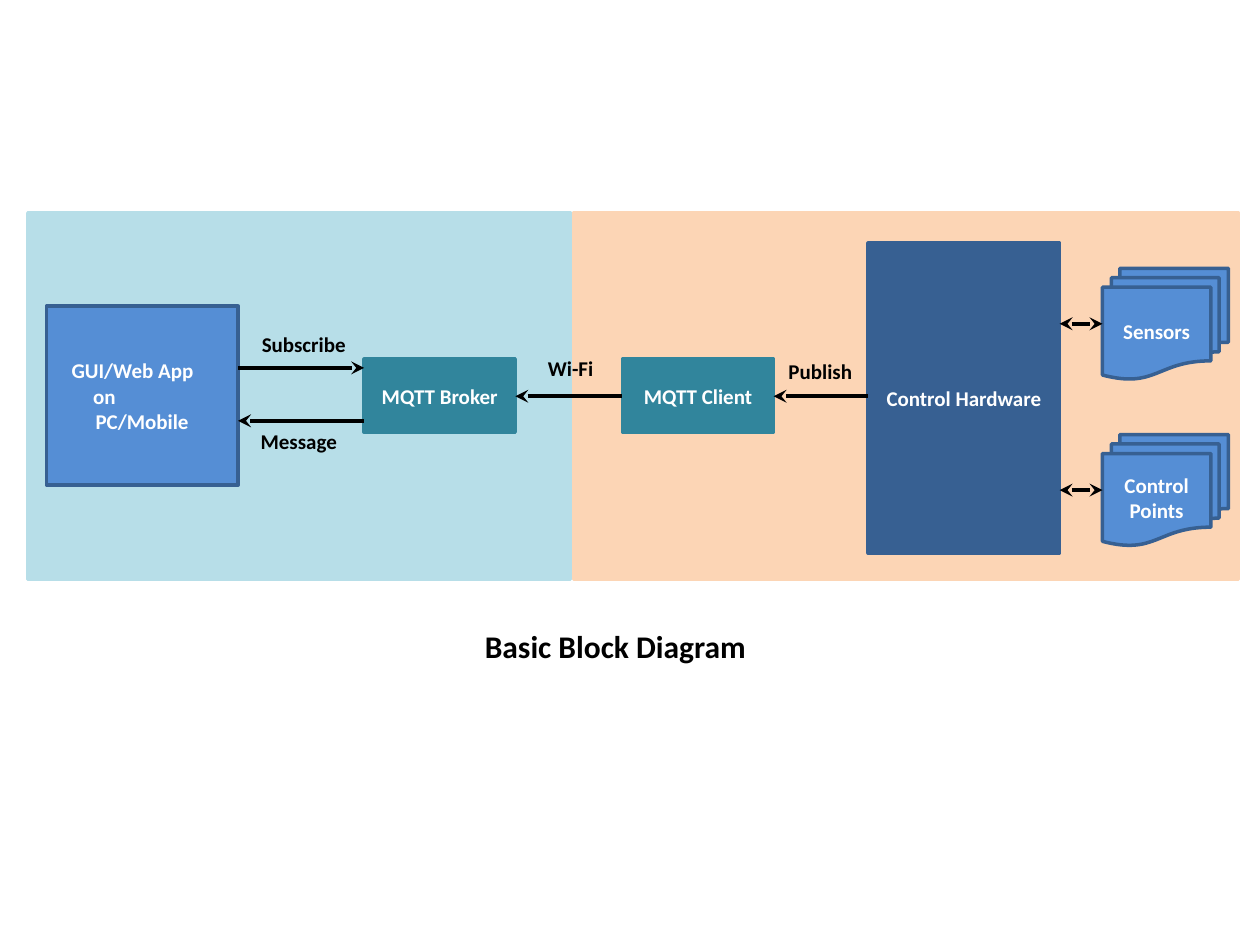
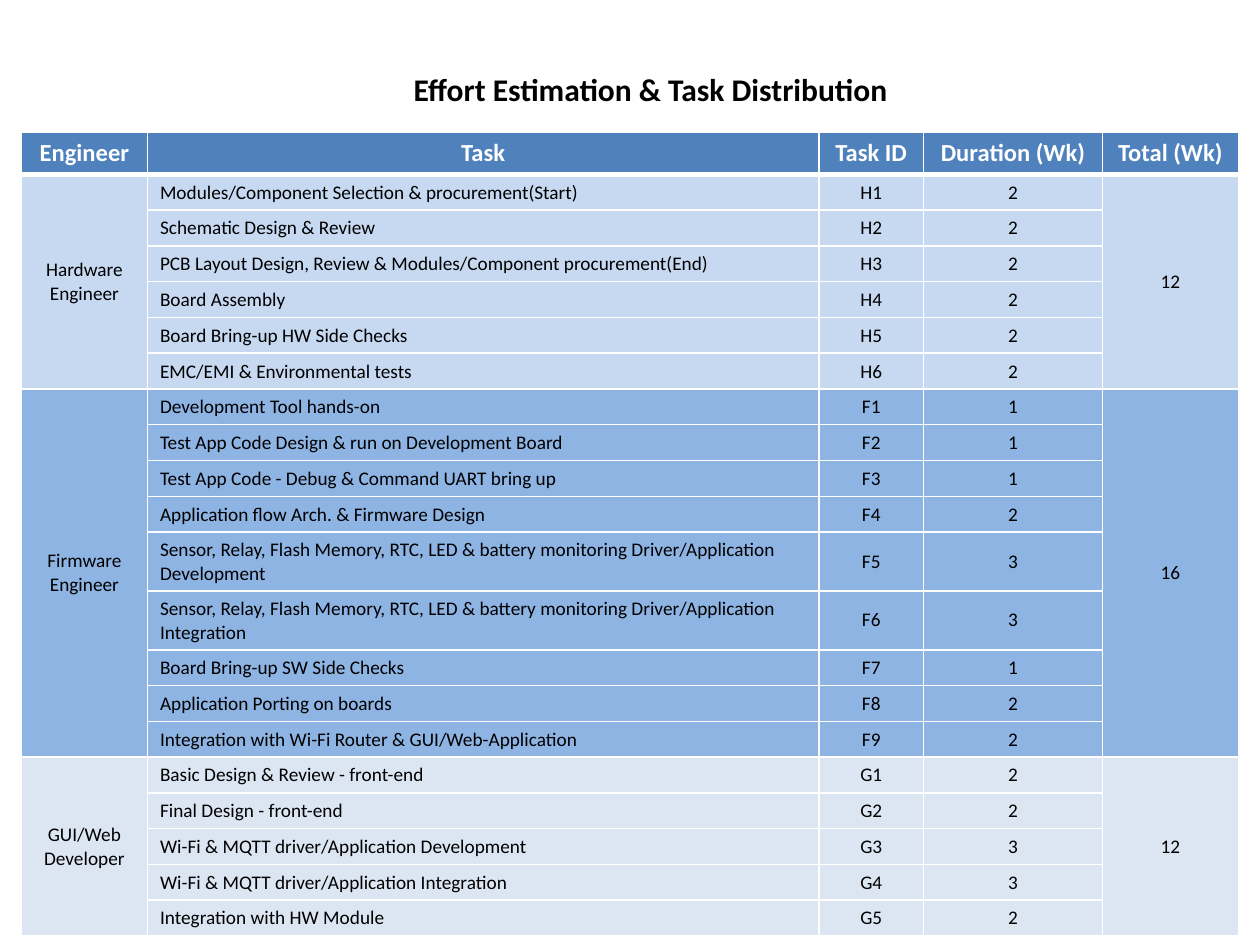
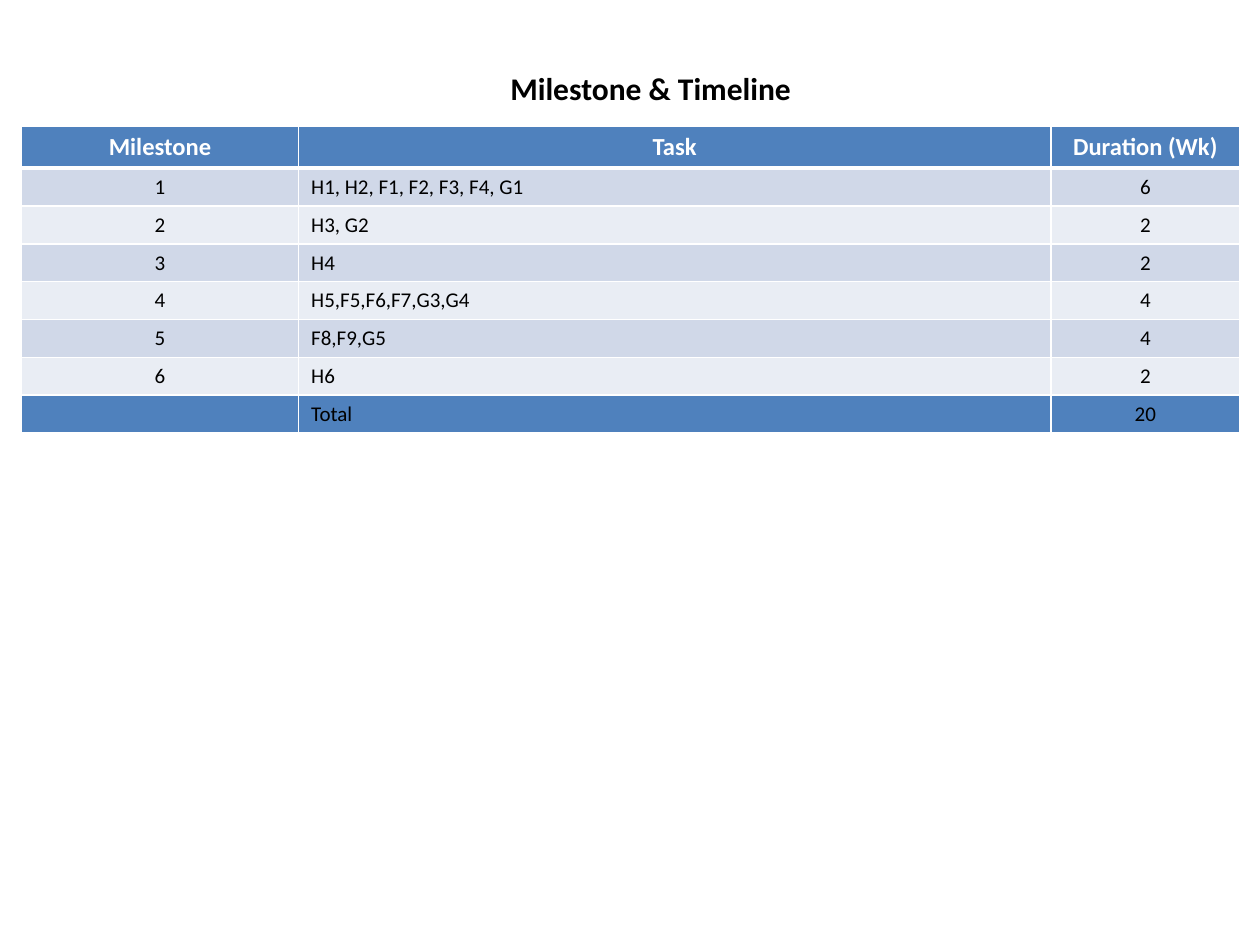
from dataclasses import dataclass

from lxml import etree
from pptx import Presentation
from pptx.dml.color import RGBColor
from pptx.enum.shapes import MSO_CONNECTOR, MSO_SHAPE
from pptx.enum.text import MSO_ANCHOR, PP_ALIGN
from pptx.oxml.ns import qn
from pptx.util import Inches, Pt

RECT, DOCUMENTS = MSO_SHAPE.RECTANGLE, MSO_SHAPE.FLOWCHART_MULTIDOCUMENT
STRAIGHT = MSO_CONNECTOR.STRAIGHT
LEFT, CENTER = PP_ALIGN.LEFT, PP_ALIGN.CENTER
TOP, MIDDLE = MSO_ANCHOR.TOP, MSO_ANCHOR.MIDDLE

FONT = "Calibri"
WHITE, BLACK = RGBColor(255, 255, 255), RGBColor(0, 0, 0)
SKY, PEACH = RGBColor(0xB7, 0xDE, 0xE8), RGBColor(0xFC, 0xD5, 0xB5)
BLUE, NAVY = RGBColor(0x55, 0x8E, 0xD5), RGBColor(0x37, 0x60, 0x92)
TEAL, HEADER = RGBColor(0x31, 0x85, 0x9C), RGBColor(0x4F, 0x81, 0xBD)
HARDWARE_TINT = RGBColor(0xC6, 0xD9, 0xF1)
FIRMWARE_TINT = RGBColor(0x8E, 0xB4, 0xE3)
WEB_TINT = RGBColor(0xDC, 0xE6, 0xF2)
BANDS = (RGBColor(0xD0, 0xD8, 0xE8), RGBColor(0xE9, 0xED, 0xF4))

prs = Presentation()
prs.slide_width, prs.slide_height = Inches(10), Inches(7.5)
COLUMN = prs.slide_width // 100
ROW = prs.slide_height // 75

TEAMS = [
    ("Hardware Engineer", "H", HARDWARE_TINT, [
        ("Modules/Component Selection & procurement(Start)", 2),
        ("Schematic Design & Review", 2),
        ("PCB Layout Design, Review & Modules/Component procurement(End)", 2),
        ("Board Assembly", 2),
        ("Board Bring-up HW Side Checks", 2),
        ("EMC/EMI & Environmental tests", 2)]),
    ("Firmware Engineer", "F", FIRMWARE_TINT, [
        ("Development Tool hands-on", 1),
        ("Test App Code Design & run on Development Board", 1),
        ("Test App Code - Debug & Command UART bring up", 1),
        ("Application flow Arch. & Firmware Design", 2),
        ("Sensor, Relay, Flash Memory, RTC, LED & battery monitoring "
         "Driver/Application Development", 3),
        ("Sensor, Relay, Flash Memory, RTC, LED & battery monitoring "
         "Driver/Application Integration", 3),
        ("Board Bring-up SW Side Checks", 1),
        ("Application Porting on boards", 2),
        ("Integration with Wi-Fi Router & GUI/Web-Application", 2)]),
    ("GUI/Web Developer", "G", WEB_TINT, [
        ("Basic Design & Review - front-end", 2),
        ("Final Design - front-end", 2),
        ("Wi-Fi & MQTT driver/Application Development", 3),
        ("Wi-Fi & MQTT driver/Application Integration", 3),
        ("Integration with HW Module", 2)]),
]
MILESTONES = [
    ("H1, H2, F1, F2, F3, F4, G1", 6), ("H3, G2", 2), ("H4", 2),
    ("H5,F5,F6,F7,G3,G4", 4), ("F8,F9,G5", 4), ("H6", 2),
]


@dataclass
class Box:
    """An area measured in grid columns and rows."""
    x: float
    y: float
    w: float
    h: float

    def inner(self, x, y, w, h):
        """Return a box placed relative to this one."""
        return Box(self.x + x, self.y + y, w, h)

    def emu(self):
        """Return left, top, width and height as slide lengths."""
        return (int(self.x * COLUMN), int(self.y * ROW),
                int(self.w * COLUMN), int(self.h * ROW))


def write(frame, text, size, color, bold=True, align=CENTER):
    """Set the text of a frame and format all of it alike."""
    frame.text = text
    for paragraph in frame.paragraphs:
        paragraph.alignment = align
        for run in paragraph.runs:
            run.font.name, run.font.size = FONT, Pt(size)
            run.font.bold, run.font.color.rgb = bold, color
        if not paragraph.runs:
            etree.SubElement(paragraph._p, qn("a:endParaRPr"), sz=str(size * 100))


def label(slide, box, text, size=12, align=LEFT, wrap=True):
    """Place bold black text without a frame."""
    frame = slide.shapes.add_textbox(*box.emu()).text_frame
    frame.word_wrap = wrap
    write(frame, text, size, BLACK, align=align)


def block(slide, box, fill, line, text="", kind=RECT, align=CENTER):
    """Draw one filled part of the diagram and return it."""
    part = slide.shapes.add_shape(kind, *box.emu())
    part.shadow.inherit = False
    part.fill.solid()
    part.fill.fore_color.rgb = fill
    part.line.color.rgb, part.line.width = line, Pt(2)
    part.text_frame.word_wrap = True
    part.text_frame.vertical_anchor = MIDDLE
    write(part.text_frame, text, 12, WHITE, align=align)
    return part


def arrow(slide, area, tip, origin, y, both=False):
    """Draw a level arrow whose head is at tip, or with heads at both ends."""
    x1, y1, _, _ = area.inner(tip, y, 0, 0).emu()
    x2, y2, _, _ = area.inner(origin, y, 0, 0).emu()
    link = slide.shapes.add_connector(STRAIGHT, x1, y1, x2, y2)
    link.line.color.rgb, link.line.width = BLACK, Pt(2.5)
    outline = link.line._get_or_add_ln()
    for end in ("a:headEnd", "a:tailEnd") if both else ("a:headEnd",):
        etree.SubElement(outline, qn(end), type="stealth")
    etree.SubElement(link._element.spPr, qn("a:effectLst"))


def block_diagram(slide, area):
    """Draw the app and device sides with everything that links them."""
    app_x, broker_x, client_x, control_x, field_x = 1.5, 26.7, 47.2, 66.7, 85.3
    wide, narrow = 15.2, 12
    block(slide, area.inner(43.3, 0, 52.8, area.h), PEACH, PEACH)
    block(slide, area.inner(0, 0, 43.1, area.h), SKY, SKY)

    app = block(slide, area.inner(app_x, 7.4, wide, 14.2), BLUE, NAVY,
                "GUI/Web App\non\nPC/Mobile", align=LEFT)
    for paragraph, indent in zip(app.text_frame.paragraphs, (0.1, 0.27, 0.29)):
        paragraph._p.get_or_add_pPr().set("marL", str(Inches(indent)))
    for x, name in ((broker_x, "MQTT Broker"), (client_x, "MQTT Client")):
        block(slide, area.inner(x, 11.6, narrow, 5.8), TEAL, TEAL, name)
    block(slide, area.inner(control_x, 2.4, wide, 24.6), NAVY, NAVY,
          "Control Hardware")
    for y, name in ((4.4, "Sensors"), (17.6, "Control Points")):
        stack = area.inner(field_x, y, 10, 8.8)
        block(slide, stack, BLUE, NAVY, name, DOCUMENTS)
        arrow(slide, area, control_x + wide, field_x, y + stack.h / 2, both=True)

    middle = area.h / 2
    arrow(slide, area, client_x + narrow, control_x, middle)
    arrow(slide, area, broker_x + narrow, client_x, middle)
    arrow(slide, area, broker_x, app_x + wide, 12.3)
    arrow(slide, area, app_x + wide, broker_x, 16.5)
    for x, y, width, text in ((40.3, 10.8, 6.1, "Wi-Fi"),
                              (17.6, 8.9, 10, "Subscribe"),
                              (17.5, 16.6, 10, "Message"),
                              (59.4, 11.1, 7.3, "Publish")):
        label(slide, area.inner(x, y, width, 3), text)


def fill_cell(cell, text, fill, size, color=BLACK, bold=False, align=CENTER,
              top=1, bottom=1):
    """Write one table cell with white rules around it."""
    cell.vertical_anchor = MIDDLE
    properties = cell._tc.get_or_add_tcPr()
    for side, width in (("L", 1), ("R", 1), ("T", top), ("B", bottom)):
        rule = etree.SubElement(properties, qn("a:ln" + side), w=str(Pt(width)))
        paint = etree.SubElement(rule, qn("a:solidFill"))
        etree.SubElement(paint, qn("a:srgbClr"), val=str(WHITE))
    cell.fill.solid()
    cell.fill.fore_color.rgb = fill
    write(cell.text_frame, text, size, color, bold, align)


def grid_table(slide, box, widths, headings, rows, size, row_height):
    """Build a table from (fill, texts) rows; only the task column is left aligned."""
    table = slide.shapes.add_table(len(rows) + 1, len(widths), *box.emu()).table
    for column, width in zip(table.columns, widths):
        column.width = int(width * COLUMN)
    for row in table.rows:
        row.height = int(row_height * ROW)
    table.rows[0].height = int(3.1 * ROW)
    for c, heading in enumerate(headings):
        fill_cell(table.cell(0, c), heading, HEADER, 14, WHITE, True, bottom=3)
    for r, (fill, texts) in enumerate(rows, 1):
        for c, text in enumerate(texts):
            fill_cell(table.cell(r, c), text, fill, size, top=3 if r == 1 else 1,
                      align=LEFT if headings[c] == "Task" else CENTER)
    return table


def effort_table(slide, box):
    """List the tasks of each team, with its name and total merged."""
    rows = []
    for team, prefix, tint, tasks in TEAMS:
        total = sum(weeks for _, weeks in tasks)
        for i, (task, weeks) in enumerate(tasks, 1):
            first = i == 1
            rows.append((tint, (team if first else "", task, f"{prefix}{i}",
                                str(weeks), str(total) if first else "")))
    headings = ("Engineer", "Task", "Task ID", "Duration (Wk)", "Total (Wk)")
    table = grid_table(slide, box, (10, 53.3, 8.3, 14.2, 10.8), headings, rows,
                       11, 2.8)
    start = 1
    for *_, tasks in TEAMS:
        end = start + len(tasks) - 1
        for c in (0, len(headings) - 1):
            table.cell(start, c).merge(table.cell(end, c))
        start = end + 1


def milestone_table(slide, box):
    """List the milestones in banded rows, closed by their total."""
    rows = [(BANDS[i % 2], (str(i + 1), tasks, str(weeks)))
            for i, (tasks, weeks) in enumerate(MILESTONES)]
    rows.append((HEADER, ("", "Total", str(sum(w for _, w in MILESTONES)))))
    grid_table(slide, box, (22, 59.7, 15),
               ("Milestone", "Task", "Duration (Wk)"), rows, 12, 3)


def titled_slide(title, box, align=CENTER, wrap=True):
    """Add a blank slide with its title text."""
    slide = prs.slides.add_slide(prs.slide_layouts[6])
    label(slide, box, title, 18, align, wrap)
    return slide


diagram = titled_slide("Basic Block Diagram", Box(37.5, 49.3, 23.6, 4), LEFT, False)
block_diagram(diagram, Box(2.2, 16.9, 96.1, 29.1))

effort = titled_slide("Effort Estimation & Task Distribution", Box(5, 5.1, 93.3, 4))
effort_table(effort, Box(1.7, 10.5, 96.7, 63.7))

timeline = titled_slide("Milestone & Timeline", Box(5, 5, 93.3, 4))
milestone_table(timeline, Box(1.7, 10, 96.7, 24.3))

prs.save("out.pptx")
